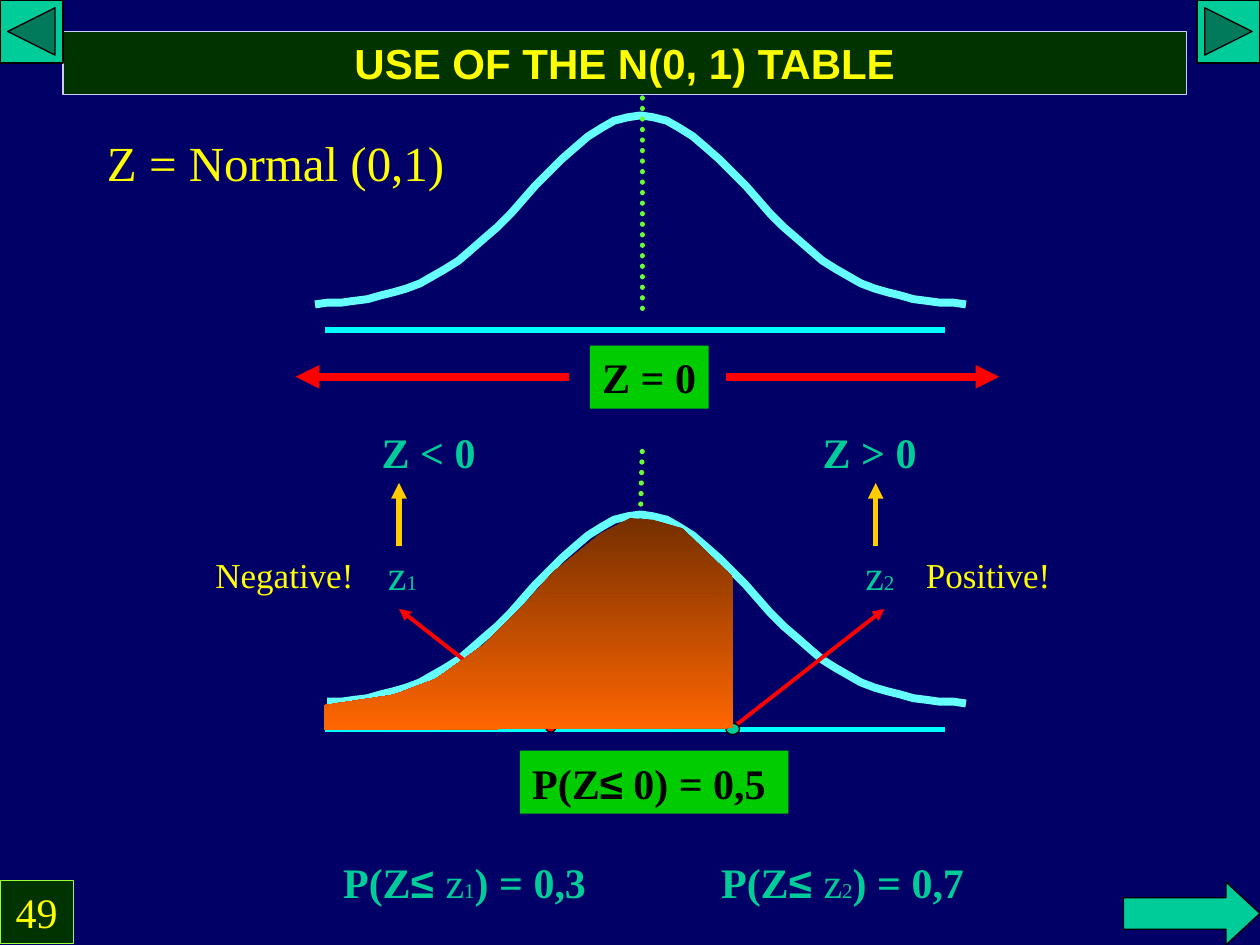
import math

from lxml import etree
from pptx import Presentation
from pptx import util as u
from pptx.dml.color import RGBColor
from pptx.enum import dml, shapes, text
from pptx.oxml.ns import qn

SERIF, SANS = "Times New Roman", "Arial"
YELLOW, GREEN, TEAL = "FFFF00", "00CC00", "00CC99"
CYAN, LIME, RED, AMBER = "00FFFF", "66FF33", "FF0000", "FFCC00"
BLACK, DARK_GREEN = "000000", "003300"
CENTRE = 366
SIGMA = 62
CURVE_HEIGHT = 108


def colour(value):
    return RGBColor.from_string(value)


def paint(shape, fill=None, line=None, width=0.75):
    if fill:
        shape.fill.solid()
        shape.fill.fore_color.rgb = colour(fill)
    else:
        shape.fill.background()
    if line:
        shape.line.color.rgb = colour(line)
        shape.line.width = u.Pt(width)
    else:
        shape.line.fill.background()


def write(shape, runs, align=text.PP_ALIGN.LEFT, wrap=False):
    """Fill a shape with runs given as (text, size, colour, bold, font)."""
    frame = shape.text_frame
    frame.word_wrap = wrap
    frame.auto_size = text.MSO_AUTO_SIZE.NONE
    frame.vertical_anchor = text.MSO_ANCHOR.MIDDLE
    frame.margin_left = frame.margin_right = u.Pt(7.2)
    frame.margin_top = frame.margin_bottom = u.Pt(3.6)
    paragraph = frame.paragraphs[0]
    paragraph.alignment = align
    for content, size, value, bold, font in runs:
        run = paragraph.add_run()
        run.text = content
        run.font.size = u.Pt(size)
        run.font.color.rgb = colour(value)
        run.font.bold = bold
        run.font.name = font


def add_preset(slide, kind, left, top, width, height, fill, line=None):
    shape = slide.shapes.add_shape(kind, u.Pt(left), u.Pt(top), u.Pt(width), u.Pt(height))
    shape.shadow.inherit = False
    paint(shape, fill, line)
    return shape


def add_label(slide, left, top, width, height, runs):
    box = slide.shapes.add_textbox(u.Pt(left), u.Pt(top), u.Pt(width), u.Pt(height))
    write(box, runs)


def add_line(slide, start, end, value, width, arrow=False, dotted=False):
    line = slide.shapes.add_connector(
        shapes.MSO_CONNECTOR.STRAIGHT, *(u.Pt(length) for length in start + end))
    line.line.color.rgb = colour(value)
    line.line.width = u.Pt(width)
    outline = line.line._get_or_add_ln()
    if dotted:
        line.line.dash_style = dml.MSO_LINE.ROUND_DOT
        outline.set("cap", "rnd")
    if arrow:
        etree.SubElement(outline, qn("a:tailEnd"), type="triangle")
    etree.SubElement(line._element.spPr, qn("a:effectLst"))


def add_outline(slide, points, close):
    builder = slide.shapes.build_freeform(*points[0], scale=u.Pt(1))
    builder.add_line_segments(points[1:], close=close)
    shape = builder.convert_to_shape()
    shape.shadow.inherit = False
    return shape


def add_bell_curve(slide, top, first_step=0):
    """Draw a normal curve from -3 to +3 sigma in 50 steps."""
    amplitude = CURVE_HEIGHT / (1 - math.exp(-4.5))
    points = []
    for step in range(first_step, 51):
        z = -3 + 6 * step / 50
        points.append((CENTRE + z * SIGMA, top + amplitude * (1 - math.exp(-z * z / 2))))
    paint(add_outline(slide, points, False), None, "66FFFF", 4.5)


def add_probability_area(slide):
    points = [(419, 329.8), (389.5, 302.4), (373, 296.6), (360, 295.9), (343.4, 304.6),
              (316, 326.9), (298.8, 346.3), (277.2, 367.9), (249.1, 388.1),
              (224.6, 396.7), (185, 403.2), (185, 416.9), (419, 416.2)]
    area = add_outline(slide, points, True)
    paint(area)
    area.fill.gradient()
    area.fill.gradient_angle = 270
    for stop, value, position in zip(area.fill.gradient_stops, ("762F00", "FF6600"), (0, 1)):
        stop.color.rgb = colour(value)
        stop.position = position


def add_title(slide):
    title = slide.shapes.title
    title.left, title.top, title.width, title.height = (
        u.Pt(length) for length in (36, 18, 642, 36))
    paint(title, DARK_GREEN, "CCCCFF")
    write(title, [("USE OF THE N(0, 1) TABLE", 24, YELLOW, True, SANS)],
          text.PP_ALIGN.CENTER, True)


def add_navigation(slide):
    kind = shapes.MSO_SHAPE
    add_preset(slide, kind.ACTION_BUTTON_FORWARD_OR_NEXT, 684, 0, 36, 36, TEAL, BLACK)
    add_preset(slide, kind.ACTION_BUTTON_BACK_OR_PREVIOUS, 0, 0, 36, 36, TEAL, BLACK)
    arrow = add_preset(slide, kind.RIGHT_ARROW, 642, 504, 78, 36, TEAL, BLACK)
    arrow.adjustments[1] = 0.54
    number = add_preset(slide, kind.RECTANGLE, 0, 503, 42, 36, DARK_GREEN, "99FF33")
    write(number, [("49", 24, YELLOW, False, SERIF)], text.PP_ALIGN.CENTER, True)


def add_result(slide, left, width, runs):
    """Put black text on a green plate; left holds both coordinates."""
    plate = add_preset(slide, shapes.MSO_SHAPE.RECTANGLE, *left, width, 36, GREEN)
    write(plate, runs)


def probability_runs(index, value):
    return [("P(Z", 24, TEAL, True, SERIF), ("≤ ", 24, TEAL, True, SANS),
            ("z", 24, TEAL, False, SERIF), (index, 12, TEAL, False, SERIF),
            (f") = {value}", 24, TEAL, True, SERIF)]


def add_quantile(slide, index, label_left, arrow_x, start, end):
    """Point from the axis to a z value and from there to its sign."""
    add_line(slide, start, end, RED, 2.25, arrow=True)
    add_label(slide, label_left, 310, 31, 36,
              [("z", 24, TEAL, False, SERIF), (index, 12, TEAL, False, SERIF)])
    add_line(slide, (arrow_x, 312), (arrow_x, 276), AMBER, 3, arrow=True)


def add_standard_normal(slide):
    add_line(slide, (186, 188.6), (540, 188.6), CYAN, 3)
    add_bell_curve(slide, 66)
    add_line(slide, (367, 56), (367, 182), LIME, 3, dotted=True)
    add_result(slide, (337, 197.5), 68, [("Z = 0", 24, BLACK, True, SERIF)])
    add_label(slide, 54, 72, 207, 41, [("Z = Normal (0,1)", 28, YELLOW, False, SERIF)])
    for sign, start, end, left in ((">", 415, 571, 463), ("<", 325, 169, 211)):
        add_line(slide, (start, 215.3), (end, 215.3), RED, 4.5, arrow=True)
        add_label(slide, left, 240, 68, 36, [(f"Z {sign} 0", 24, TEAL, True, SERIF)])


def add_cumulative_example(slide):
    ellipse = shapes.MSO_SHAPE.OVAL
    add_line(slide, (367, 258), (366, 294), LIME, 3, dotted=True)
    add_line(slide, (366, 294), (366, 420), LIME, 3, dotted=True)
    add_line(slide, (186, 416.9), (540, 416.9), CYAN, 3)
    add_bell_curve(slide, 294, first_step=1)
    add_result(slide, (297, 429), 153.5,
               [("P(Z", 24, BLACK, True, SERIF), ("≤", 24, BLACK, True, SANS),
                (" 0) = 0,5", 24, BLACK, True, SERIF)])
    add_preset(slide, ellipse, 311.8, 412.6, 5.8, 5.8, RED, BLACK)
    add_quantile(slide, "1", 214.6, 228, (312, 414), (228, 348))
    add_quantile(slide, "2", 487.4, 500.4, (421, 414), (505.4, 348))
    add_preset(slide, ellipse, 414.7, 413.3, 7.9, 6.5, TEAL, BLACK)
    add_probability_area(slide)
    add_label(slide, 189, 486, 158, 36, probability_runs("1", "0,3"))
    add_label(slide, 405, 486, 158, 36, probability_runs("2", "0,7"))
    add_label(slide, 116, 312, 93, 32, [("Negative!", 20, YELLOW, False, SERIF)])
    add_label(slide, 522, 312, 86, 32, [("Positive!", 20, YELLOW, False, SERIF)])


def main():
    presentation = Presentation()
    presentation.slide_width, presentation.slide_height = u.Pt(720), u.Pt(540)
    slide = presentation.slides.add_slide(presentation.slide_layouts[5])
    slide.background.fill.solid()
    slide.background.fill.fore_color.rgb = colour("000066")
    add_title(slide)
    add_navigation(slide)
    add_standard_normal(slide)
    add_cumulative_example(slide)
    presentation.save("out.pptx")


if __name__ == "__main__":
    main()
